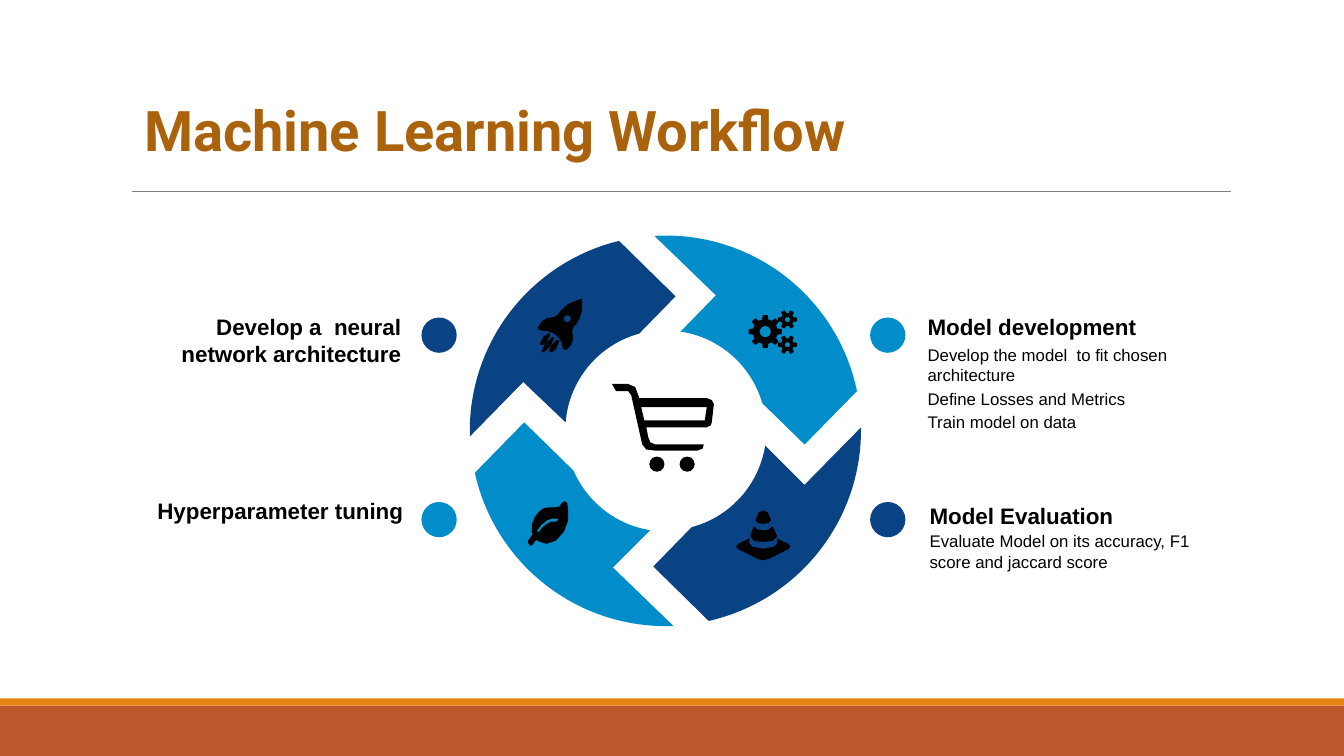
import math
import pptx
import pptx.util
import pptx.dml.color
import pptx.enum.shapes
import pptx.enum.text
import pptx.oxml.ns
import lxml.etree

RGBColor = pptx.dml.color.RGBColor
Inches = pptx.util.Inches
Pt = pptx.util.Pt
Align = pptx.enum.text.PP_ALIGN
Anchor = pptx.enum.text.MSO_ANCHOR
Kind = pptx.enum.shapes.MSO_SHAPE

NAVY = RGBColor(0x0A, 0x43, 0x83)
BLUE = RGBColor(0x01, 0x8D, 0xC9)
RUST = RGBColor(0xBD, 0x58, 0x2C)
ORANGE = RGBColor(0xE4, 0x83, 0x12)
BROWN = RGBColor(0xAB, 0x62, 0x0D)
GRAY = RGBColor(0x80, 0x80, 0x80)
BLACK = RGBColor(0, 0, 0)

deck = pptx.Presentation()
deck.slide_width = Inches(13.33)
deck.slide_height = Inches(7.5)
page = deck.slides.add_slide(deck.slide_layouts[5])


def paint(shape, color, border=0):
    shape.shadow.inherit = False
    shape.fill.solid()
    shape.fill.fore_color.rgb = color
    if border:
        shape.line.color.rgb = color
        shape.line.width = Pt(border)
    else:
        shape.line.fill.background()


def outline(contours, color, border=0):
    builder = None
    for contour in contours:
        corners = [(Inches(x), Inches(y)) for x, y in contour]
        if builder is None:
            builder = page.shapes.build_freeform(*corners[0], scale=1.0)
        else:
            builder.move_to(*corners[0])
        builder.add_line_segments(corners[1:], close=True)
    paint(builder.convert_to_shape(), color, border)


for top, height, color in [(7, 0.5, RUST), (6.93, 0.07, ORANGE)]:
    band = page.shapes.add_shape(Kind.RECTANGLE, 0, Inches(top), deck.slide_width, Inches(height))
    paint(band, color)

rule = page.shapes.add_connector(
    pptx.enum.shapes.MSO_CONNECTOR.STRAIGHT, Inches(1.31), Inches(1.9), Inches(12.21), Inches(1.9))
rule.line.color.rgb = GRAY
rule.line.width = Pt(0.5)
lxml.etree.SubElement(rule._element.spPr, pptx.oxml.ns.qn("a:effectLst"))

title = page.shapes.title
title.left, title.top, title.width, title.height = map(Inches, (1.33, 0.85, 10.72, 0.94))
title.text_frame.text = "Machine Learning Workflow"
title.text_frame.vertical_anchor = Anchor.MIDDLE
para = title.text_frame.paragraphs[0]
para.alignment = Align.LEFT
para.line_spacing = 0.9
para.font.name = "Roboto"
para.font.size = Pt(40)
para.font.bold = True
para.font.color.rgb = BROWN

dots = [(8.63, 3.15, BLUE), (4.18, 3.15, NAVY), (4.18, 4.98, BLUE), (8.63, 4.98, NAVY)]
wheels = [(6.44, 4.53, BLACK), (6.74, 4.53, BLACK)]
for group, size in [(dots, 0.35), (wheels, 0.15)]:
    for left, top, color in group:
        circle = page.shapes.add_shape(
            Kind.OVAL, Inches(left), Inches(top), Inches(size), Inches(size))
        paint(circle, color)

HUB_X, HUB_Y, STEPS = 6.6, 4.27, 32
ring = [
    (NAVY, [(4.66, 4.33), (6.14, 2.39), (6.7, 2.94), (6.34, 3.31), (5.61, 4.19), (5.19, 3.79)]),
    (BLUE, [(6.49, 2.34), (8.5, 3.88), (7.98, 4.41), (7.56, 4), (6.75, 3.29), (7.1, 2.93)]),
    (BLUE, [(6.68, 6.21), (4.71, 4.69), (5.2, 4.19), (5.69, 4.67), (6.45, 5.26), (6.08, 5.63)]),
    (NAVY, [(8.54, 4.24), (7.03, 6.16), (6.48, 5.62), (6.86, 5.23), (7.59, 4.42), (7.98, 4.81)]),
]
for color, corners in ring:
    arrow = []
    for index, (x, y) in enumerate(corners):
        arrow.append((x, y))
        if index in (0, 3):
            end_x, end_y = corners[index + 1]
            radius = math.hypot(x - HUB_X, y - HUB_Y)
            growth = math.hypot(end_x - HUB_X, end_y - HUB_Y) - radius
            angle = math.atan2(y - HUB_Y, x - HUB_X)
            turn = math.remainder(math.atan2(end_y - HUB_Y, end_x - HUB_X) - angle, math.tau)
            for step in range(1, STEPS):
                share = step / STEPS
                reach = radius + growth * share
                arrow.append((HUB_X + reach * math.cos(angle + turn * share),
                              HUB_Y + reach * math.sin(angle + turn * share)))
    outline([arrow], color)

cart = [
    [(6.07, 3.81), (6.11, 3.88), (6.23, 3.88), (6.26, 3.92), (6.37, 4.41), (6.41, 4.46),
     (6.49, 4.47), (6.92, 4.47), (6.97, 4.45), (6.98, 4.41), (6.5, 4.41), (6.45, 4.39),
     (6.43, 4.34), (6.41, 4.24), (7.01, 4.24), (7.05, 4.22), (7.06, 4.19), (7.08, 4.01),
     (7.06, 3.97), (7.01, 3.95), (6.34, 3.95), (6.33, 3.92), (6.3, 3.84), (6.23, 3.81)],
    [(6.99, 4.17), (6.39, 4.17), (6.36, 4.04), (7.01, 4.04)],
]
cone = [
    [(7.81, 5.4), (7.71, 5.35), (7.72, 5.39), (7.68, 5.43), (7.57, 5.45), (7.46, 5.43),
     (7.42, 5.39), (7.43, 5.35), (7.33, 5.4), (7.31, 5.42), (7.32, 5.44), (7.52, 5.54),
     (7.57, 5.55), (7.62, 5.54), (7.82, 5.44), (7.83, 5.42)],
    [(7.57, 5.19), (7.62, 5.18), (7.64, 5.16), (7.61, 5.09), (7.57, 5.07), (7.53, 5.09),
     (7.5, 5.16), (7.52, 5.18)],
    [(7.57, 5.37), (7.66, 5.36), (7.7, 5.32), (7.66, 5.23), (7.63, 5.26), (7.57, 5.27),
     (7.51, 5.26), (7.48, 5.23), (7.45, 5.32), (7.48, 5.36)],
]
rocket = [
    [(5.54, 3.38), (5.54, 3.39), (5.51, 3.46), (5.47, 3.49), (5.45, 3.48), (5.48, 3.42), (5.52, 3.38)],
    [(5.49, 3.35), (5.46, 3.43), (5.39, 3.49), (5.38, 3.48), (5.41, 3.41), (5.48, 3.35)],
    [(5.45, 3.31), (5.45, 3.33), (5.42, 3.38), (5.38, 3.42), (5.36, 3.41), (5.39, 3.35), (5.43, 3.32)],
    [(5.62, 3.12), (5.59, 3.14), (5.59, 3.18), (5.61, 3.2), (5.64, 3.2), (5.66, 3.18),
     (5.67, 3.15), (5.65, 3.13)],
    [(5.77, 2.97), (5.77, 3.07), (5.75, 3.14), (5.72, 3.2), (5.68, 3.25), (5.67, 3.29),
     (5.68, 3.36), (5.66, 3.42), (5.61, 3.47), (5.59, 3.46), (5.57, 3.38), (5.51, 3.31),
     (5.43, 3.28), (5.35, 3.27), (5.34, 3.25), (5.38, 3.19), (5.43, 3.16), (5.5, 3.15),
     (5.53, 3.13), (5.58, 3.07), (5.64, 3.02), (5.73, 2.98)],
]
leaf = [
    [(5.62, 4.99), (5.63, 5.07), (5.63, 5.16), (5.59, 5.27), (5.51, 5.36), (5.42, 5.39),
     (5.35, 5.37), (5.32, 5.35), (5.3, 5.37), (5.28, 5.4), (5.26, 5.41), (5.25, 5.4),
     (5.24, 5.37), (5.26, 5.34), (5.29, 5.3), (5.28, 5.28), (5.28, 5.2), (5.31, 5.13),
     (5.35, 5.08), (5.39, 5.05), (5.43, 5.04), (5.5, 5.04), (5.55, 5.03), (5.58, 4.99), (5.6, 4.98)],
    [(5.52, 5.18), (5.54, 5.16), (5.54, 5.14), (5.47, 5.14), (5.42, 5.16), (5.37, 5.2),
     (5.33, 5.25), (5.32, 5.27), (5.34, 5.29), (5.39, 5.23), (5.43, 5.2), (5.47, 5.18)],
]
gears = []
for x, y, tip, root, hole, teeth in [
        (7.59, 3.29, 0.16, 0.12, 0.06, 8),
        (7.81, 3.17, 0.09, 0.06, 0.03, 6),
        (7.81, 3.42, 0.09, 0.06, 0.03, 6)]:
    pitch = math.tau / teeth
    rim = [(reach, pitch * (tooth + offset)) for tooth in range(teeth)
           for reach, offset in [(root, -0.27), (tip, -0.16), (tip, 0.16), (root, 0.27)]]
    bore = [(hole, math.tau * step / STEPS) for step in range(STEPS)]
    for polar in (rim, bore):
        gears.append([(x + reach * math.cos(a), y + reach * math.sin(a)) for reach, a in polar])

for icon, border in [(cart, 0), (cone, 1), (rocket, 0.75), (gears, 0.75), (leaf, 0.75)]:
    outline(icon, BLACK, border)

captions = [
    (9.2, 3.11, 2.56, 0.27, 16, Align.LEFT, ["Model development"]),
    (9.2, 3.42, 2.81, 0.89, 12, Align.LEFT, [
        "Develop the model  to fit chosen architecture",
        "Define Losses and Metrics",
        "Train model on data"]),
    (9.22, 4.98, 2.56, 0.27, 16, Align.LEFT, ["Model Evaluation"]),
    (9.22, 5.27, 2.81, 0.4, 12, Align.LEFT, [
        "Evaluate Model on its accuracy, F1 score and jaccard score"]),
    (1.42, 3.11, 2.56, 0.54, 16, Align.RIGHT, ["Develop a  neural network architecture"]),
    (1.44, 4.93, 2.56, 0.27, 16, Align.RIGHT, ["Hyperparameter tuning"]),
]
for left, top, width, height, size, alignment, lines in captions:
    box = page.shapes.add_textbox(Inches(left), Inches(top), Inches(width), Inches(height))
    frame = box.text_frame
    frame.word_wrap = True
    frame.margin_left = frame.margin_right = frame.margin_top = frame.margin_bottom = 0
    frame.text = "\n".join(lines)
    for index, para in enumerate(frame.paragraphs):
        para.alignment = alignment
        para.space_before = Pt(0.2 * size if index else 0)
        para.font.name = "Arial"
        para.font.size = Pt(size)
        para.font.bold = size == 16
        para.font.color.rgb = BLACK

deck.save("out.pptx")
